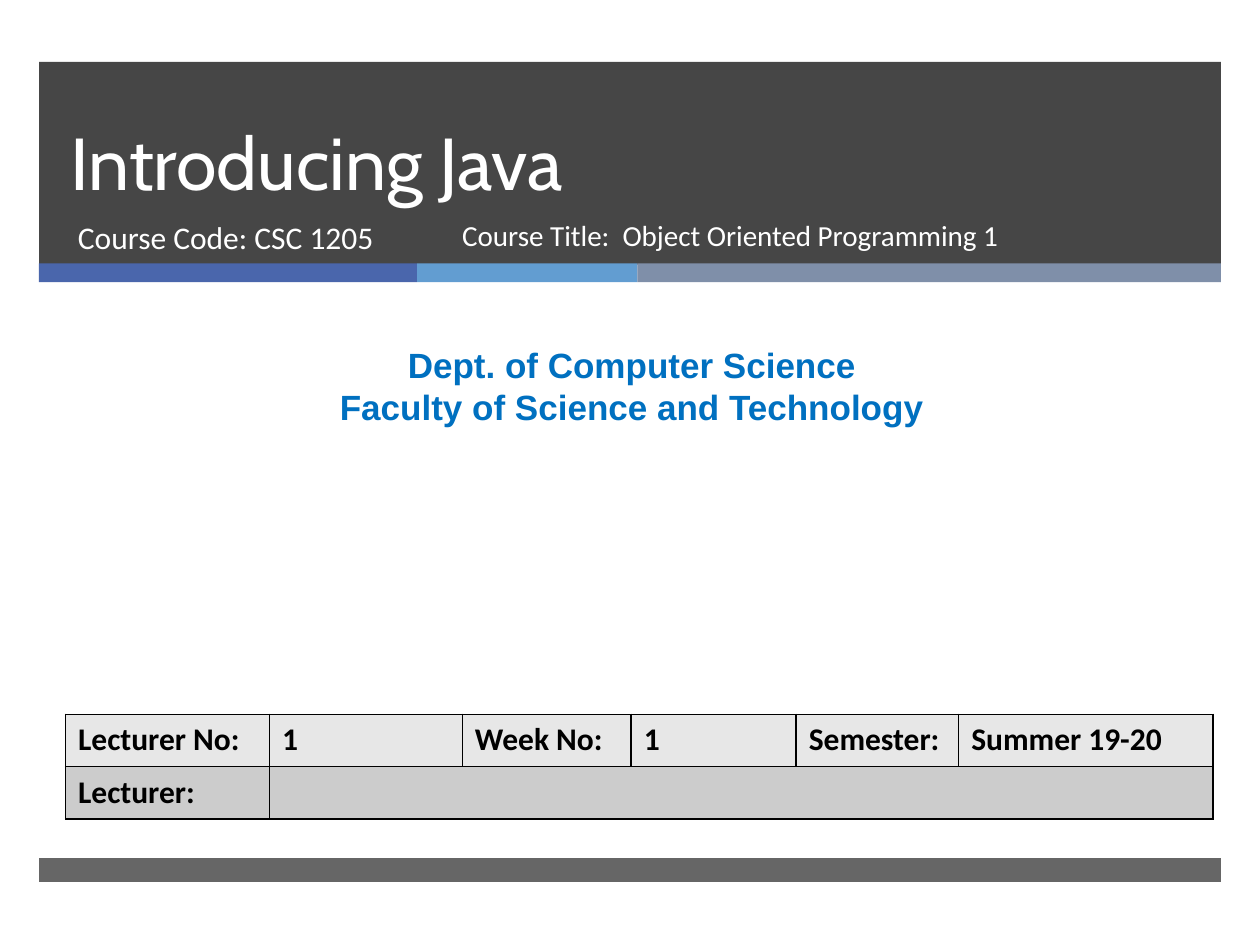
"""Build the opening slide of an introductory Java lecture."""
from pptx import Presentation
from pptx.dml.color import RGBColor
from pptx.enum.shapes import MSO_SHAPE
from pptx.enum.text import MSO_ANCHOR, MSO_AUTO_SIZE, PP_ALIGN
from pptx.oxml import parse_xml
from pptx.oxml.ns import nsdecls
from pptx.util import Inches, Pt

RECT = MSO_SHAPE.RECTANGLE
BOTTOM = MSO_ANCHOR.BOTTOM
NO_FIT = MSO_AUTO_SIZE.NONE
LEFT, CENTER = PP_ALIGN.LEFT, PP_ALIGN.CENTER


def rgb(color):
    """Turn a hex string into a colour."""
    return RGBColor.from_string(color)


def add_text(p, text, size, font, color, bold=False):
    """Add one formatted run to a paragraph."""
    r = p.add_run()
    r.text = text
    r.font.size = Pt(size)
    r.font.name = font
    r.font.bold = bold
    r.font.color.rgb = rgb(color)


prs = Presentation()
prs.slide_width, prs.slide_height = Inches(10), Inches(7.5)
s = prs.slides.add_slide(prs.slide_layouts[5])

bars = [
    (0.31, 0.49, 9.38, 1.61, "262626", 85),
    (0.31, 2.09, 3, 0.15, "4A66AC", 100),
    (3.31, 2.09, 1.75, 0.15, "629DD1", 100),
    (5.06, 2.09, 4.63, 0.15, "7F8FA9", 100),
    (0.31, 6.81, 9.38, 0.19, "262626", 70),
]
for x, y, w, h, color, opacity in bars:
    sp = s.shapes.add_shape(RECT, Inches(x), Inches(y), Inches(w), Inches(h))
    sp.shadow.inherit = False
    sp.line.fill.background()
    sp.fill.solid()
    sp.fill.fore_color.rgb = rgb(color)
    if opacity < 100:
        clr = sp._element.spPr.find(".//{*}srgbClr")
        clr.append(parse_xml(f'<a:alpha {nsdecls("a")} val="{opacity * 1000}"/>'))

title = s.shapes.title
title.left, title.top = Inches(0.46), Inches(0.49)
title.width, title.height = Inches(8.54), Inches(1.19)
s.shapes._spTree.append(title._element)
tf = title.text_frame
tf.word_wrap = True
tf.auto_size = NO_FIT
tf.vertical_anchor = BOTTOM
p = tf.paragraphs[0]
p.alignment = LEFT
p.line_spacing = Pt(46)
add_text(p, "Introducing Java", 42, "Cabin", "FFFFFF")

texts = [
    (0.52, 1.68, 3.05, 0.53, ["Course Code: CSC 1205"], 18, "Calibri", "FFFFFF", False, LEFT),
    (3.57, 1.68, 4.61, 0.53, ["Course Title:  Object Oriented Programming 1"],
     16.6, "Calibri", "FFFFFF", False, LEFT),
    (0.08, 2.68, 9.87, 0.77, ["Dept. of Computer Science", "Faculty of Science and Technology"],
     20, "Arial", "0070C0", True, CENTER),
]
for x, y, w, h, lines, size, font, color, bold, align in texts:
    tf = s.shapes.add_textbox(Inches(x), Inches(y), Inches(w), Inches(h)).text_frame
    tf.word_wrap = True
    for i, line in enumerate(lines):
        p = tf.add_paragraph() if i else tf.paragraphs[0]
        p.alignment = align
        add_text(p, line, size, font, color, bold)

rows = [
    ("E7E7E7", ["Lecturer No:", "1", "Week No:", "1", "Semester:", "Summer 19-20"]),
    ("CCCCCC", ["Lecturer:", "", "", "", "", ""]),
]
widths = [1.62, 1.53, 1.34, 1.31, 1.29, 2.02]
table = s.shapes.add_table(len(rows), len(widths), Inches(0.52), Inches(5.67),
                           Inches(sum(widths)), Inches(0.83)).table
for column, width in zip(table.columns, widths):
    column.width = Inches(width)
for i, (fill, labels) in enumerate(rows):
    table.rows[i].height = Inches(0.415)
    for j, label in enumerate(labels):
        cell = table.cell(i, j)
        tcPr = cell._tc.get_or_add_tcPr()
        for side in ("lnL", "lnR", "lnT", "lnB"):
            tcPr.append(parse_xml(
                f'<a:{side} {nsdecls("a")} w="12700"><a:solidFill>'
                f'<a:srgbClr val="000000"/></a:solidFill></a:{side}>'))
        cell.fill.solid()
        cell.fill.fore_color.rgb = rgb(fill)
        if label:
            add_text(cell.text_frame.paragraphs[0], label, 18, "Calibri", "000000", True)
table.cell(1, 1).merge(table.cell(1, 5))

prs.save("out.pptx")
